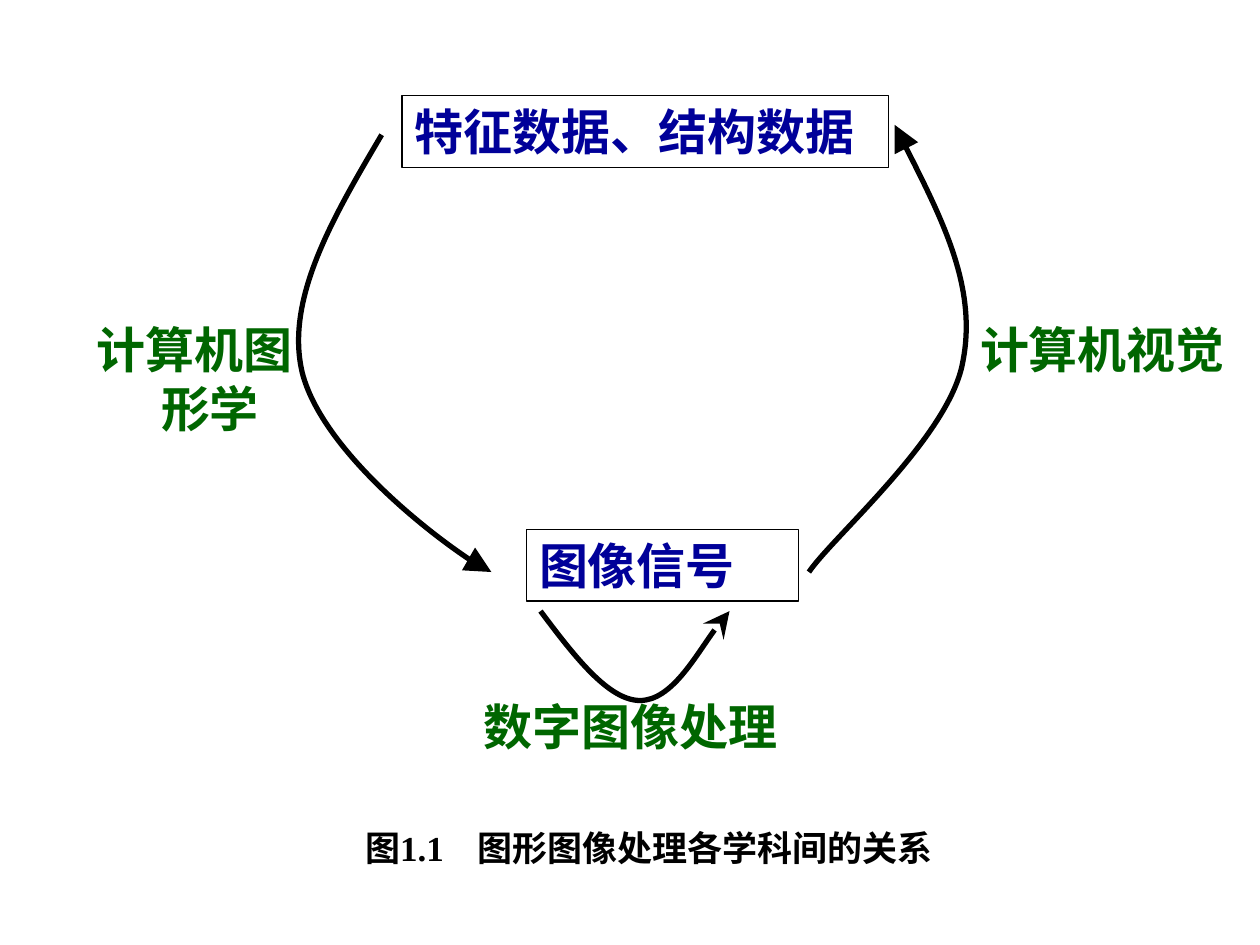
from dataclasses import dataclass

from lxml import etree
from pptx import Presentation
from pptx.dml.color import RGBColor
from pptx.enum.shapes import MSO_SHAPE
from pptx.enum.text import MSO_ANCHOR, MSO_AUTO_SIZE, PP_ALIGN
from pptx.oxml.ns import qn
from pptx.util import Inches, Pt

RECTANGLE = MSO_SHAPE.RECTANGLE
TOP = MSO_ANCHOR.TOP
LEFT = PP_ALIGN.LEFT
GROW = MSO_AUTO_SIZE.SHAPE_TO_FIT_TEXT
BLANK_LAYOUT = 6


@dataclass(frozen=True)
class Theme:
    data: RGBColor = RGBColor(0x00, 0x00, 0x99)
    discipline: RGBColor = RGBColor(0x00, 0x66, 0x00)
    ink: RGBColor = RGBColor(0x00, 0x00, 0x00)
    label_font: str = "DejaVu Sans"
    caption_font: str = "Times New Roman"
    label_size: int = 28
    caption_size: int = 20
    border: float = 0.75
    arrow: float = 3
    hanging: float = 0.51


THEME = Theme()


def write_text(shape, text, font_name, size, color, hanging=0, tab_stop=None):
    frame = shape.text_frame
    frame.word_wrap = True
    frame.auto_size = GROW
    frame.vertical_anchor = TOP
    paragraph = frame.paragraphs[0]
    paragraph.alignment = LEFT
    properties = paragraph._p.get_or_add_pPr()
    if hanging:
        properties.set("marL", str(Inches(hanging)))
        properties.set("indent", str(-Inches(hanging)))
    if tab_stop:
        tabs = etree.SubElement(properties, qn("a:tabLst"))
        etree.SubElement(tabs, qn("a:tab"), pos=str(Inches(tab_stop)), algn="l")
    run = paragraph.add_run()
    run.text = text
    run.font.name = font_name
    run.font.size = Pt(size)
    run.font.bold = True
    run.font.color.rgb = color
    latin = run._r.get_or_add_rPr().find(qn("a:latin"))
    latin.addnext(etree.Element(qn("a:ea"), typeface=THEME.label_font))


def write_label(shape, text, color):
    write_text(shape, text, THEME.label_font, THEME.label_size, color, THEME.hanging)


def add_data_box(slide, text, *bounds):
    shape = slide.shapes.add_shape(RECTANGLE, *map(Inches, bounds))
    shape.shadow.inherit = False
    shape.fill.background()
    shape.line.color.rgb = THEME.ink
    shape.line.width = Pt(THEME.border)
    write_label(shape, text, THEME.data)


def add_discipline(slide, text, *bounds):
    shape = slide.shapes.add_textbox(*map(Inches, bounds))
    write_label(shape, text, THEME.discipline)


def add_caption(slide, text, *bounds, tab_stop):
    shape = slide.shapes.add_textbox(*map(Inches, bounds))
    write_text(shape, text, THEME.caption_font, THEME.caption_size, THEME.ink, tab_stop=tab_stop)


def add_curved_arrow(slide, points, end, arrowhead):
    first, *others = [(Inches(x), Inches(y)) for x, y in points]
    builder = slide.shapes.build_freeform(*first)
    builder.add_line_segments(others, close=False)
    shape = builder.convert_to_shape()
    bend_segments(shape)
    shape.shadow.inherit = False
    shape.fill.background()
    shape.line.color.rgb = THEME.ink
    shape.line.width = Pt(THEME.arrow)
    line = shape._element.spPr.find(qn("a:ln"))
    etree.SubElement(line, qn(end), type=arrowhead, w="lg", len="lg")


def bend_segments(shape):
    segments = list(shape._element.iter(qn("a:lnTo")))
    for start in range(0, len(segments), 3):
        curve = etree.Element(qn("a:cubicBezTo"))
        segments[start].addprevious(curve)
        for segment in segments[start:start + 3]:
            curve.append(segment[0])
            segment.getparent().remove(segment)


def main():
    presentation = Presentation()
    presentation.slide_width = Inches(10)
    presentation.slide_height = Inches(7.5)
    slide = presentation.slides.add_slide(presentation.slide_layouts[BLANK_LAYOUT])

    add_data_box(slide, "特征数据、结构数据", 3.19, 0.76, 3.86, 0.57)
    add_data_box(slide, "图像信号", 4.18, 4.2, 2.16, 0.57)

    add_discipline(slide, "计算机图形学", 0.67, 2.49, 1.97, 1.04)
    add_discipline(slide, "计算机视觉", 7.68, 2.49, 2.2, 0.57)

    processing = [(4.29, 4.85), (4.56, 5.21), (4.83, 5.56), (5.08, 5.56),
                  (5.33, 5.56), (5.69, 4.94), (5.79, 4.85)]
    graphics = [(3.03, 1.07), (2.64, 1.73), (2.26, 2.38), (2.4, 2.96),
                (2.55, 3.54), (3.61, 4.42), (3.9, 4.54)]
    vision = [(7.1, 0.99), (7.43, 1.64), (7.76, 2.29), (7.64, 2.88),
              (7.53, 3.47), (6.61, 4.26), (6.42, 4.54)]

    add_curved_arrow(slide, processing, "a:tailEnd", "stealth")
    add_discipline(slide, "数字图像处理", 3.74, 5.48, 2.76, 0.57)
    add_caption(slide, "图1.1\t图形图像处理各学科间的关系", 2.8, 6.51, 4.73, 0.44, tab_stop=0.89)
    add_curved_arrow(slide, graphics, "a:tailEnd", "triangle")
    add_curved_arrow(slide, vision, "a:headEnd", "triangle")

    presentation.save("out.pptx")


if __name__ == "__main__":
    main()
